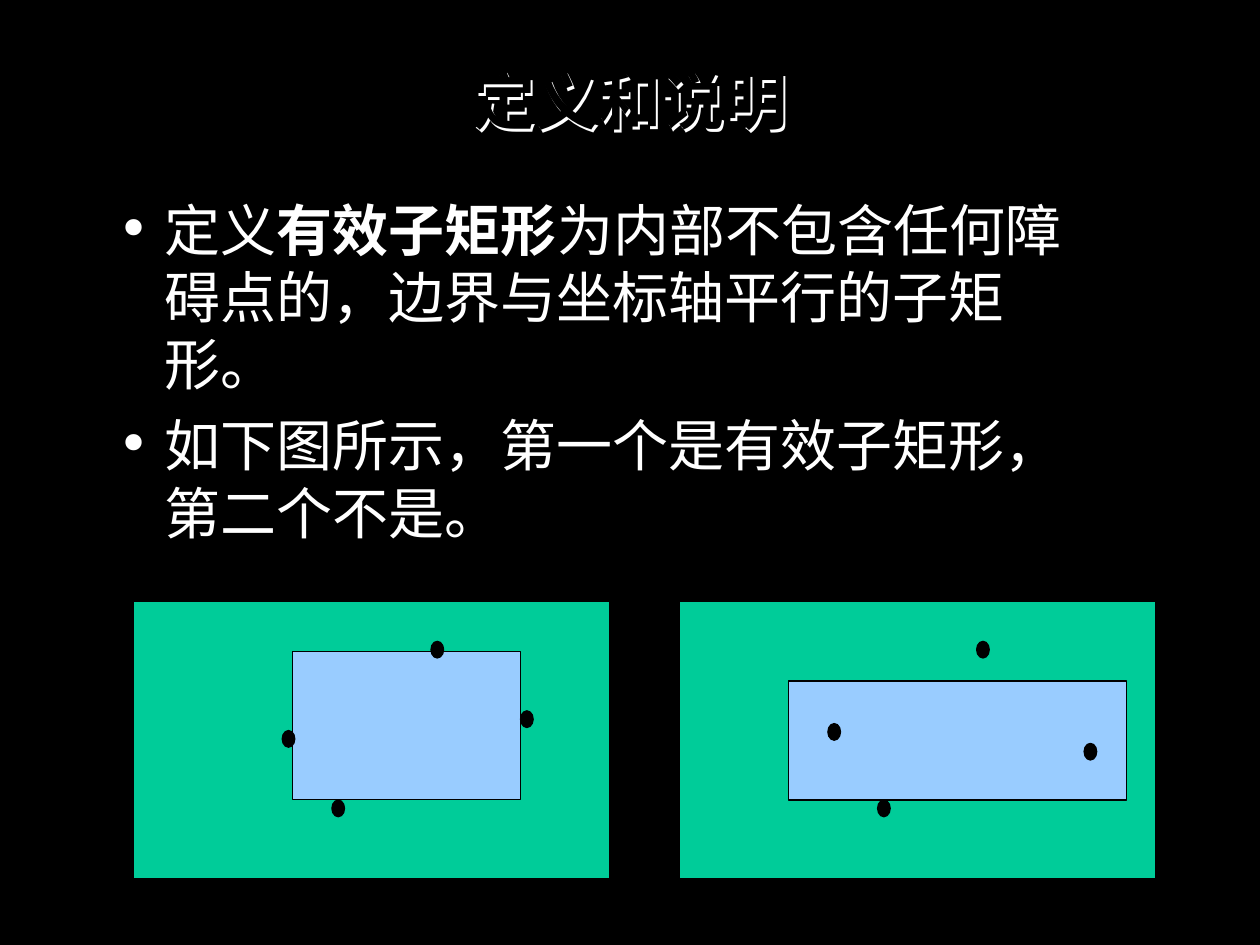
from lxml import etree
from pptx import Presentation
from pptx.dml.color import RGBColor
from pptx.enum import shapes, text
from pptx.oxml import ns
from pptx.util import Pt

FONT = "DejaVu Sans"
COLORS = {"black": "000000", "white": "FFFFFF", "green": "00CC99", "blue": "99CCFF"}
RECT = shapes.MSO_SHAPE.RECTANGLE
DOT = shapes.MSO_SHAPE.FLOWCHART_CONNECTOR


def add_run(p, words, size, color, bold=False):
    r = p.add_run()
    r.text = words
    r.font.size = Pt(size)
    r.font.bold = bold
    r.font.color.rgb = RGBColor.from_string(COLORS[color])
    r.font.name = FONT
    etree.SubElement(r._r.get_or_add_rPr(), ns.qn("a:ea"), typeface=FONT)


def add_outlined(kind, left, top, width, height, fill):
    """Add a filled shape with a thin black outline."""
    sp = s.shapes.add_shape(kind, Pt(left), Pt(top), Pt(width), Pt(height))
    sp.shadow.inherit = False
    sp.fill.solid()
    sp.fill.fore_color.rgb = RGBColor.from_string(COLORS[fill])
    sp.line.color.rgb = RGBColor.from_string(COLORS["black"])
    sp.line.width = Pt(0.75)


prs = Presentation()
prs.slide_width, prs.slide_height = Pt(720), Pt(540)
s = prs.slides.add_slide(prs.slide_layouts[6])
s.background.fill.solid()
s.background.fill.fore_color.rgb = RGBColor.from_string(COLORS["black"])

# Title: black letters that stand out by their light shadow
title = s.shapes.add_textbox(Pt(54), Pt(24), Pt(612), Pt(66))
title.shadow.inherit = False
effects = title._element.spPr.find(ns.qn("a:effectLst"))
shadow = etree.SubElement(effects, ns.qn("a:outerShdw"), dist=str(Pt(2)), dir="2700000")
etree.SubElement(shadow, ns.qn("a:srgbClr"), val=COLORS["white"])
tf = title.text_frame
tf.word_wrap = True
tf.vertical_anchor = text.MSO_ANCHOR.MIDDLE
p = tf.paragraphs[0]
p.alignment = text.PP_ALIGN.CENTER
add_run(p, "定义和说明", 36, "black", True)

# Bulleted definitions
bullets = [
    [("定义", False), ("有效子矩形", True),
     ("为内部不包含任何障碍点的，边界与坐标轴平行的子矩形。", False)],
    [("如下图所示，第一个是有效子矩形，第二个不是。", False)],
]
tf = s.shapes.add_textbox(Pt(60), Pt(108), Pt(567), Pt(253)).text_frame
tf.word_wrap = True
for i, runs in enumerate(bullets):
    p = tf.add_paragraph() if i else tf.paragraphs[0]
    if i:
        p.space_before = Pt(8)
    pPr = p._p.get_or_add_pPr()
    pPr.set("marL", str(Pt(27)))
    pPr.set("indent", str(-Pt(27)))
    pPr.set("hangingPunct", "0")
    bullet_color = etree.SubElement(pPr, ns.qn("a:buClr"))
    etree.SubElement(bullet_color, ns.qn("a:srgbClr"), val=COLORS["white"])
    etree.SubElement(pPr, ns.qn("a:buFont"), typeface=FONT)
    etree.SubElement(pPr, ns.qn("a:buChar"), char="•")
    for words, bold in runs:
        add_run(p, words, 32, "white", bold)

# Two fields: left edge, inner rectangle and obstacle points, offset from the field
FIELD_TOP = 343.5
fields = [
    (76.5, (90.5, 28.8, 130.3, 84.7), [(84.8, 74), (169.8, 23), (221, 62.7), (113.2, 113.7)]),
    (388.3, (62.3, 45.6, 193, 68), [(84.8, 70), (169.8, 23), (231.2, 81.3), (113.2, 113.7)]),
]
for left, (x, y, w, h), dots in fields:
    add_outlined(RECT, left, FIELD_TOP, 272, 158.8, "green")
    add_outlined(RECT, left + x, FIELD_TOP + y, w, h, "blue")
    for dx, dy in dots:
        add_outlined(DOT, left + dx, FIELD_TOP + dy, 7.2, 9.5, "black")

prs.save("out.pptx")
